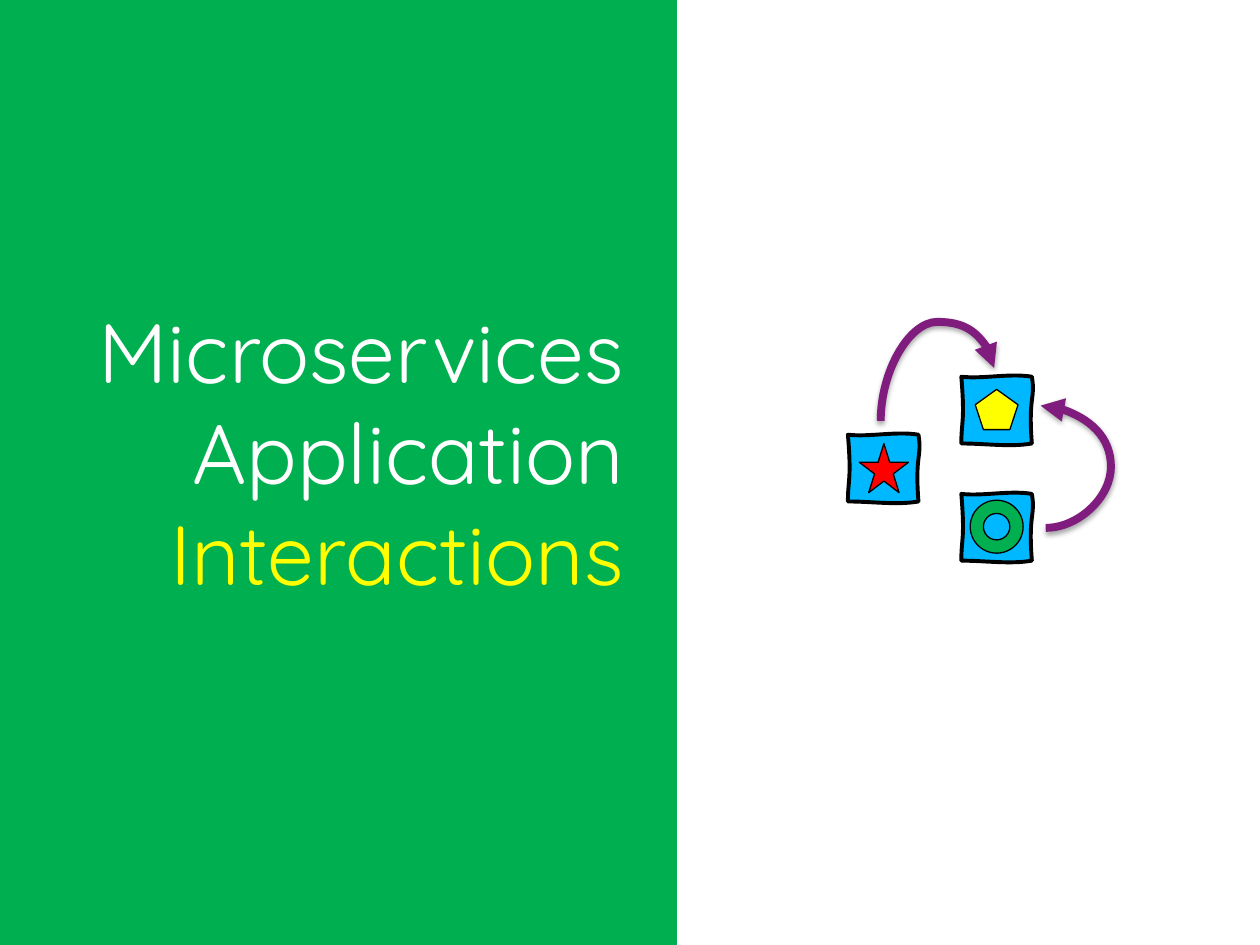
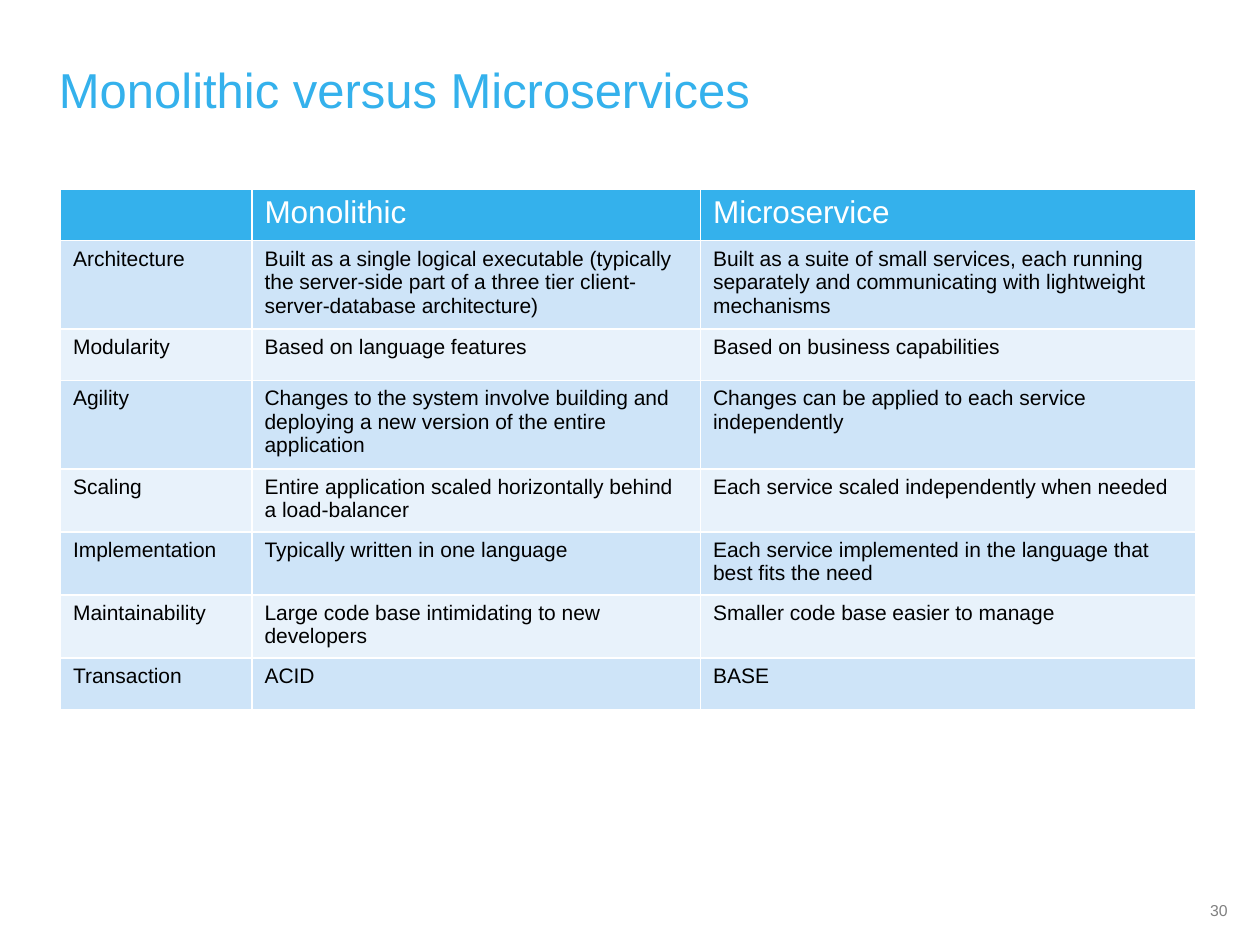
from lxml.etree import SubElement
from pptx import Presentation
from pptx.dml.color import RGBColor
from pptx.enum.shapes import MSO_CONNECTOR, MSO_SHAPE
from pptx.enum.text import MSO_ANCHOR, MSO_AUTO_SIZE, PP_ALIGN
from pptx.oxml.ns import qn
from pptx.util import Inches, Pt

COLOURS = {
    "white": "FFFFFF", "black": "000000", "green": "00B050", "yellow": "FFFF00",
    "red": "FF0000", "tile": "00B8FF", "arrow": "7F1C7D", "accent": "34B1EC",
    "odd_row": "CEE4F8", "even_row": "E8F2FB", "grey": "808080",
}
BODY_FONT = "Arial"
DISPLAY_FONT = "Quicksand"

TILE_WIDTH, TILE_HEIGHT = 0.57, 0.55
TILE_START = (0, 0.01)
TILE_CURVES = [
    [(0.17, 0.03), (0.38, -0.02), (0.56, 0.01)],
    [(0.59, 0.19), (0.53, 0.16), (0.56, 0.54)],
    [(0.39, 0.57), (0.19, 0.54), (0, 0.54)],
    [(0, 0.36), (0.03, 0.37), (0, 0.01)],
]

COMPARISON = [
    ("", "Monolithic", "Microservice"),
    ("Architecture",
     "Built as a single logical executable (typically the server-side part of a "
     "three tier client-server-database architecture)",
     "Built as a suite of small services, each running separately and "
     "communicating with lightweight mechanisms"),
    ("Modularity", "Based on language features", "Based on business capabilities"),
    ("Agility",
     "Changes to the system involve building and deploying a new version of the "
     "entire application",
     "Changes can be applied to each service independently"),
    ("Scaling", "Entire application scaled horizontally behind a load-balancer",
     "Each service scaled independently when needed"),
    ("Implementation", "Typically written in one language",
     "Each service implemented in the language that best fits the need"),
    ("Maintainability", "Large code base intimidating to new developers",
     "Smaller code base easier to manage"),
    ("Transaction", "ACID", "BASE"),
]


def colour(name):
    """Return the named colour."""
    return RGBColor.from_string(COLOURS[name])


def add_span(para, text, size, shade, font=BODY_FONT):
    """Add one styled run to a paragraph."""
    span = para.add_run()
    span.text = text
    span.font.size = Pt(size)
    span.font.name = font
    span.font.bold = False
    span.font.color.rgb = colour(shade)


def add_text_frame(page, left, top, width, height, wrap=True):
    """Add a text box and return its frame."""
    box = page.shapes.add_textbox(
        Inches(left), Inches(top), Inches(width), Inches(height))
    box.text_frame.word_wrap = wrap
    return box.text_frame


def paint(shape, fill, line, weight):
    """Give a shape a flat fill and outline."""
    shape.shadow.inherit = False
    shape.fill.solid()
    shape.fill.fore_color.rgb = colour(fill)
    shape.line.color.rgb = colour(line)
    shape.line.width = Pt(weight)


def add_preset(page, kind, left, top, width, height, fill, line="black"):
    """Add a painted preset shape."""
    shape = page.shapes.add_shape(
        kind, Inches(left), Inches(top), Inches(width), Inches(height))
    paint(shape, fill, line, 0.75)


def add_tile(page, left, top):
    """Add a hand-drawn tile whose sides are cubic curves."""
    corners = [TILE_START] + [curve[-1] for curve in TILE_CURVES]
    outline = [(Inches(left + x), Inches(top + y)) for x, y in corners]
    builder = page.shapes.build_freeform(*outline[0])
    builder.add_line_segments(outline[1:], close=True)
    tile = builder.convert_to_shape()
    tile.left, tile.top = Inches(left), Inches(top)
    tile.width, tile.height = Inches(TILE_WIDTH), Inches(TILE_HEIGHT)
    track = next(tile._element.iter(qn("a:path")))
    track.set("w", str(tile.width))
    track.set("h", str(tile.height))
    start = track.find(qn("a:moveTo")).find(qn("a:pt"))
    start.set("x", str(Inches(TILE_START[0])))
    start.set("y", str(Inches(TILE_START[1])))
    for segment, curve in zip(track.findall(qn("a:lnTo")), TILE_CURVES):
        cubic = SubElement(track, qn("a:cubicBezTo"))
        for x, y in curve:
            SubElement(cubic, qn("a:pt"), x=str(Inches(x)), y=str(Inches(y)))
        track.replace(segment, cubic)
    paint(tile, "tile", "black", 2.25)


def add_service(page, left, top, kind, fill, width, height, dx, dy):
    """Add a tile with its icon."""
    add_tile(page, left, top)
    add_preset(page, kind, left + dx, top + dy, width, height, fill)


def add_curved_arrow(page, begin, end, bend, turn=0):
    """Add a shadowed curved arrow, turned clockwise by degrees."""
    arrow = page.shapes.add_connector(
        MSO_CONNECTOR.CURVE, *(Inches(value) for value in begin + end))
    arrow.line.color.rgb = colour("arrow")
    arrow.line.width = Pt(4.5)
    properties = arrow._element.spPr
    if turn:
        properties.find(qn("a:xfrm")).set("rot", str(turn * 60000))
    guides = properties.find(qn("a:prstGeom")).find(qn("a:avLst"))
    SubElement(guides, qn("a:gd"), name="adj1", fmla=f"val {round(bend * 100000)}")
    SubElement(properties.find(qn("a:ln")), qn("a:tailEnd"), type="triangle")
    effects = SubElement(properties, qn("a:effectLst"))
    shadow = SubElement(
        effects, qn("a:outerShdw"), blurRad=str(Pt(3.1)), dist=str(Pt(1.8)),
        dir="5400000", rotWithShape="0")
    shade = SubElement(shadow, qn("a:srgbClr"), val=COLOURS["black"])
    SubElement(shade, qn("a:alpha"), val="35000")


def add_section_panel(page, left, top, width, height):
    """Add the green panel with the section name."""
    add_preset(page, MSO_SHAPE.RECTANGLE, left, top, width, height, "green", "white")
    frame = add_text_frame(page, left + 0.48, top + 2.49, 4.78, 2.52, wrap=False)
    frame.auto_size = MSO_AUTO_SIZE.SHAPE_TO_FIT_TEXT
    para = frame.paragraphs[0]
    add_span(para, "Microservices", 48, "white", DISPLAY_FONT)
    para.add_line_break()
    add_span(para, "Application", 48, "white", DISPLAY_FONT)
    add_span(frame.add_paragraph(), "Interactions", 48, "yellow", DISPLAY_FONT)
    for para in frame.paragraphs:
        para.alignment = PP_ALIGN.RIGHT


def add_service_diagram(page, left, top):
    """Add three services and the calls between them."""
    add_service(page, left, top + 0.46, MSO_SHAPE.STAR_5_POINT, "red",
                0.39, 0.39, 0.09, 0.08)
    add_service(page, left + 0.9, top + 0.93, MSO_SHAPE.DONUT, "green",
                0.42, 0.42, 0.07, 0.06)
    add_service(page, left + 0.9, top, MSO_SHAPE.REGULAR_PENTAGON, "yellow",
                0.34, 0.32, 0.11, 0.11)
    add_curved_arrow(page, (left + 0.92, top + 0.6), (left + 0.5, top - 0.3),
                     1.87, turn=90)
    add_curved_arrow(page, (left + 1.57, top + 1.21), (left + 1.53, top + 0.24),
                     -12.9)


def add_title(page, text, left, top, width, height):
    """Add a slide title."""
    frame = add_text_frame(page, left, top, width, height)
    frame.vertical_anchor = MSO_ANCHOR.MIDDLE
    para = frame.paragraphs[0]
    para.line_spacing = 0.95
    add_span(para, text, 28, "accent")


def add_page_number(page, number, left, top, width, height):
    """Add the page number."""
    para = add_text_frame(page, left, top, width, height).paragraphs[0]
    para.alignment = PP_ALIGN.CENTER
    add_span(para, str(number), 9, "grey")


def add_comparison_table(page, rows, left, top, widths, row_height):
    """Add a table with a header and alternating rows."""
    table = page.shapes.add_table(
        len(rows), len(widths), Inches(left), Inches(top),
        Inches(sum(widths)), Inches(row_height * len(rows))).table
    for column, width in zip(table.columns, widths):
        column.width = Inches(width)
    for row_index, texts in enumerate(rows):
        header = row_index == 0
        band = "accent" if header else "odd_row" if row_index % 2 else "even_row"
        table.rows[row_index].height = Inches(row_height)
        for column_index, text in enumerate(texts):
            cell = table.cell(row_index, column_index)
            cell.fill.solid()
            cell.fill.fore_color.rgb = colour(band)
            if text:
                add_span(cell.text_frame.paragraphs[0], text,
                         18 if header else 12, "white" if header else "black")


def build_section_slide(deck):
    """Build the section divider."""
    page = deck.slides.add_slide(deck.slide_layouts[6])
    add_service_diagram(page, 6.73, 2.98)
    add_section_panel(page, -0.21, -0.16, 5.59, 7.76)


def build_comparison_slide(deck):
    """Build the comparison of the two styles."""
    page = deck.slides.add_slide(deck.slide_layouts[6])
    add_title(page, "Monolithic versus Microservices", 0.37, 0.39, 8.36, 0.68)
    add_comparison_table(page, COMPARISON, 0.48, 1.5, (1.52, 3.56, 3.93), 0.41)
    add_page_number(page, 30, 9.41, 7.1, 0.53, 0.34)


deck = Presentation()
deck.slide_width = Inches(10)
deck.slide_height = Inches(7.5)
build_section_slide(deck)
build_comparison_slide(deck)
deck.save("out.pptx")
